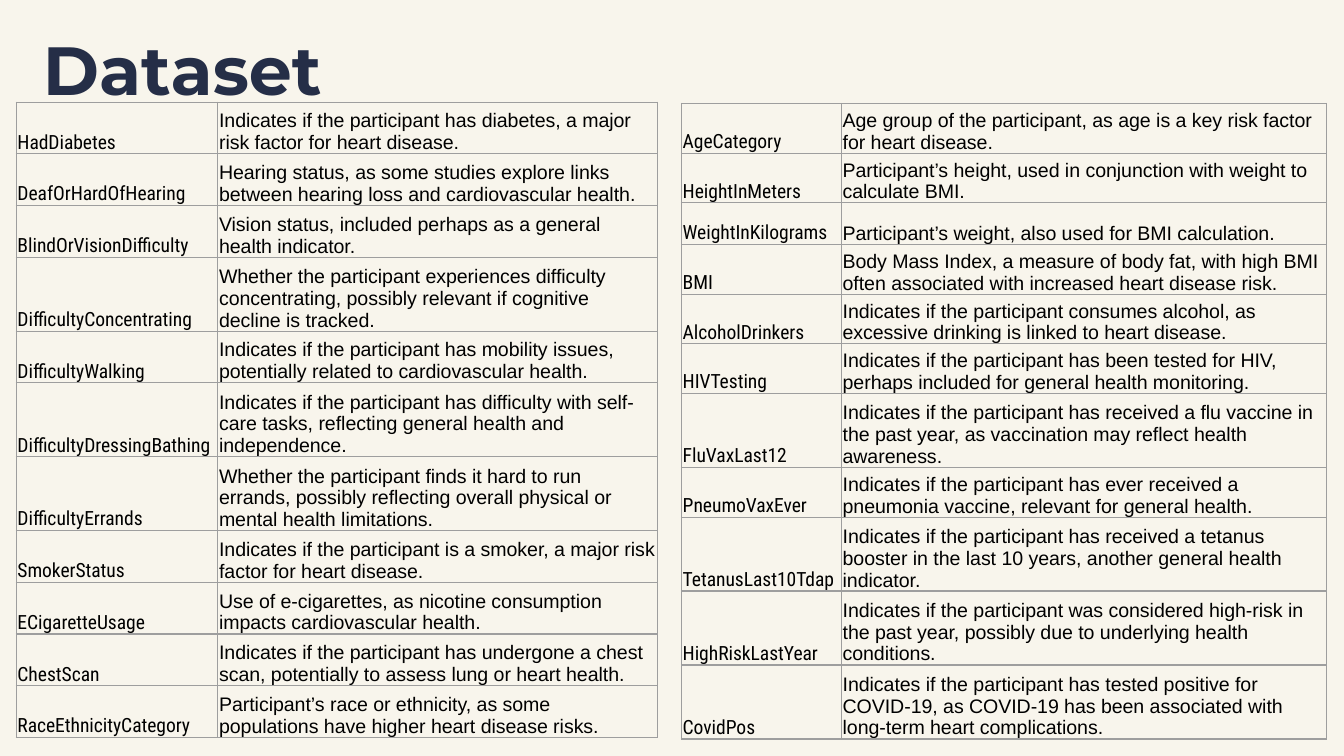
"""Build the Dataset slide: a title above two tables of survey fields."""
from lxml.etree import SubElement
from pptx import Presentation
from pptx.dml.color import RGBColor
from pptx.enum.text import MSO_ANCHOR
from pptx.oxml.ns import qn
from pptx.util import Inches, Pt

THEME = {
    "back": "F8F5EC", "title": "252E47", "text": "000000", "rule": "9E9E9E",
    "head": "Montserrat", "name": "Roboto Condensed", "body": "Arial",
    "big": 36.5, "small": 10.5, "line": 0.75,
}
TITLE = "Dataset"
LEFT = [
    ("HadDiabetes", "Indicates if the participant has diabetes, a major risk factor for heart disease.", 2),
    ("DeafOrHardOfHearing", "Hearing status, as some studies explore links between hearing loss and cardiovascular health.", 2),
    ("BlindOrVisionDifficulty", "Vision status, included perhaps as a general health indicator.", 2),
    ("DifficultyConcentrating", "Whether the participant experiences difficulty concentrating, possibly relevant if cognitive decline is tracked.", 3),
    ("DifficultyWalking", "Indicates if the participant has mobility issues, potentially related to cardiovascular health.", 2),
    ("DifficultyDressingBathing", "Indicates if the participant has difficulty with self-care tasks, reflecting general health and independence.", 3),
    ("DifficultyErrands", "Whether the participant finds it hard to run errands, possibly reflecting overall physical or mental health limitations.", 3),
    ("SmokerStatus", "Indicates if the participant is a smoker, a major risk factor for heart disease.", 2),
    ("ECigaretteUsage", "Use of e-cigarettes, as nicotine consumption impacts cardiovascular health.", 2),
    ("ChestScan", "Indicates if the participant has undergone a chest scan, potentially to assess lung or heart health.", 2),
    ("RaceEthnicityCategory", "Participant’s race or ethnicity, as some populations have higher heart disease risks.", 2),
]
RIGHT = [
    ("AgeCategory", "Age group of the participant, as age is a key risk factor for heart disease.", 2),
    ("HeightInMeters", "Participant’s height, used in conjunction with weight to calculate BMI.", 2),
    ("WeightInKilograms", "Participant’s weight, also used for BMI calculation.", 1),
    ("BMI", "Body Mass Index, a measure of body fat, with high BMI often associated with increased heart disease risk.", 2),
    ("AlcoholDrinkers", "Indicates if the participant consumes alcohol, as excessive drinking is linked to heart disease.", 2),
    ("HIVTesting", "Indicates if the participant has been tested for HIV, perhaps included for general health monitoring.", 2),
    ("FluVaxLast12", "Indicates if the participant has received a flu vaccine in the past year, as vaccination may reflect health awareness.", 3),
    ("PneumoVaxEver", "Indicates if the participant has ever received a pneumonia vaccine, relevant for general health.", 2),
    ("TetanusLast10Tdap", "Indicates if the participant has received a tetanus booster in the last 10 years, another general health indicator.", 3),
    ("HighRiskLastYear", "Indicates if the participant was considered high-risk in the past year, possibly due to underlying health conditions.", 3),
    ("CovidPos", "Indicates if the participant has tested positive for COVID-19, as COVID-19 has been associated with long-term heart complications.", 3),
]
TABLES = [
    (LEFT, 0.12, 0.76, (1.5, 3.27)),
    (RIGHT, 5.07, 0.77, (1.19, 3.61)),
]
HIGH = 4.73
FIXED = {1: 0.31, 3: 0.55}


def style(font, face, size, color, bold=False):
    """Set the face, size, colour and weight of a font."""
    font.name, font.size, font.bold = face, Pt(size), bold
    font.color.rgb = RGBColor.from_string(color)


def border(cell):
    """Draw a thin rule on each side of a cell."""
    props = cell._tc.get_or_add_tcPr()
    for side in ("lnL", "lnR", "lnT", "lnB"):
        line = SubElement(props, qn(f"a:{side}"), w=str(Pt(THEME["line"])))
        fill = SubElement(line, qn("a:solidFill"))
        SubElement(fill, qn("a:srgbClr"), val=THEME["rule"])


def fill_cell(cell, text, face):
    """Write and format one cell."""
    cell.text_frame.text = text
    cell.vertical_anchor = MSO_ANCHOR.BOTTOM
    cell.margin_left = cell.margin_right = cell.margin_top = Inches(0.01)
    cell.margin_bottom = 0
    border(cell)
    cell.fill.background()
    run = cell.text_frame.paragraphs[0].runs[0]
    style(run.font, face, THEME["small"], THEME["text"])


def heights(rows):
    """Share the height left by fixed rows among the two-line rows."""
    counts = [lines for *_, lines in rows]
    used = sum(FIXED.get(lines, 0) for lines in counts)
    share = (HIGH - used) / counts.count(2)
    return [FIXED.get(lines, share) for lines in counts]


def add_fields(slide, rows, left, top, widths):
    """Add one table of field names and meanings."""
    frame = slide.shapes.add_table(
        len(rows), len(widths), Inches(left), Inches(top),
        Inches(sum(widths)), Inches(HIGH))
    table = frame.table
    table.first_row = table.horz_banding = False
    for column, width in zip(table.columns, widths):
        column.width = Inches(width)
    for row, high, (name, note, _) in zip(table.rows, heights(rows), rows):
        row.height = Inches(high)
        fill_cell(row.cells[0], name, THEME["name"])
        fill_cell(row.cells[1], note, THEME["body"])


def add_title(slide):
    """Add the slide title."""
    box = slide.shapes.add_textbox(
        Inches(0.22), Inches(0.1), Inches(3.12), Inches(0.81))
    frame = box.text_frame
    frame.text = TITLE
    frame.word_wrap = True
    frame.vertical_anchor = MSO_ANCHOR.BOTTOM
    frame.margin_left = frame.margin_right = Inches(0.1)
    frame.margin_top = frame.margin_bottom = Inches(0.1)
    run = frame.paragraphs[0].runs[0]
    style(run.font, THEME["head"], THEME["big"], THEME["title"], True)


def main():
    """Build and save the deck."""
    deck = Presentation()
    deck.slide_width = Inches(10)
    deck.slide_height = deck.slide_width * 9 // 16
    slide = deck.slides.add_slide(deck.slide_layouts[6])
    back = slide.background.fill
    back.solid()
    back.fore_color.rgb = RGBColor.from_string(THEME["back"])
    add_title(slide)
    for table in TABLES:
        add_fields(slide, *table)
    deck.save("out.pptx")


if __name__ == "__main__":
    main()
